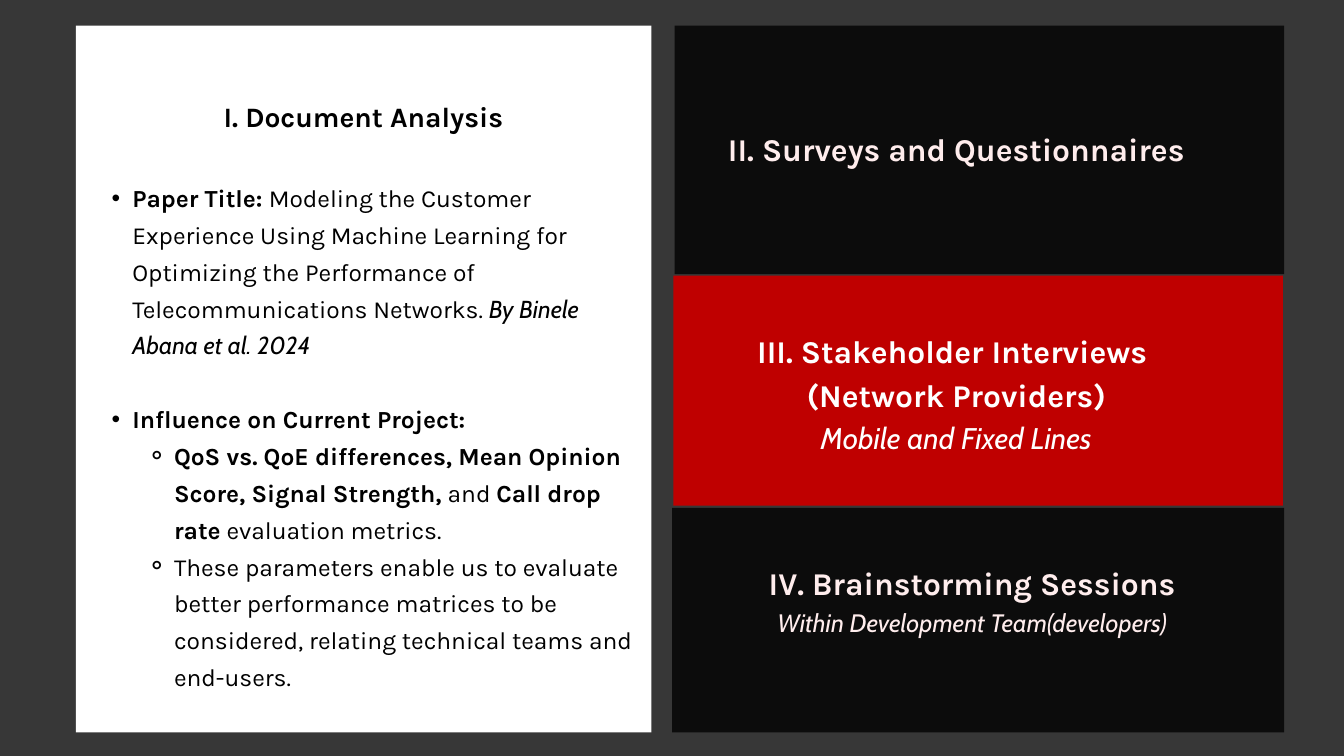
from lxml import etree
from pptx import Presentation
from pptx import util as u
from pptx.dml import color
from pptx.enum import shapes, text
from pptx.oxml import ns

Pt = u.Pt
COLORS = {
    "background": "373737",
    "white": "FFFFFF",
    "dark": "0C0C0C",
    "red": "BF0000",
    "black": "000000",
    "blush": "FFEDED",
}
HEADING = {"name": "Karla", "bold": True}
BOLD = {"name": "Karla", "size": Pt(26.3), "bold": True}
REGULAR = {"name": "Karla", "size": Pt(26.3), "bold": False}
ITALIC = {"name": "Cabin", "italic": True}


def rgb(name):
    return color.RGBColor.from_string(COLORS[name])


def add_text(slide, left, top, width, height, paragraphs):
    """Each paragraph is (paragraph format, bullet or None, color, runs)."""
    box = slide.shapes.add_textbox(Pt(left), Pt(top), Pt(width), Pt(height))
    frame = box.text_frame
    frame.word_wrap = True
    for side in ("left", "top", "right", "bottom"):
        setattr(frame, f"margin_{side}", 0)
    for index, (layout, bullet, ink, runs) in enumerate(paragraphs):
        paragraph = frame.add_paragraph() if index else frame.paragraphs[0]
        if bullet:
            character, margin, indent = bullet
            properties = paragraph._p.get_or_add_pPr()
            properties.set("marL", str(Pt(margin)))
            properties.set("indent", str(Pt(indent)))
            etree.SubElement(properties, ns.qn("a:buFont"), typeface="Arial")
            etree.SubElement(properties, ns.qn("a:buChar"), char=character)
        for key, value in layout.items():
            setattr(paragraph, key, value)
        for words, style in runs:
            run = paragraph.add_run()
            run.text = words
            run.font.color.rgb = rgb(ink)
            for key, value in style.items():
                setattr(run.font, key, value)


presentation = Presentation()
presentation.slide_width, presentation.slide_height = Pt(1440), Pt(810)
slide = presentation.slides.add_slide(presentation.slide_layouts[6])
slide.background.fill.solid()
slide.background.fill.fore_color.rgb = rgb("background")

# Panels
panels = [
    ("red", 721.4, 295.4, 653.2, 246.4),
    ("dark", 720, 544.3, 655.9, 240.5),
    ("dark", 722.9, 27.4, 653, 266.4),
    ("white", 81.4, 27.4, 616.6, 757.4),
]
for fill, *place in panels:
    panel = slide.shapes.add_shape(
        shapes.MSO_SHAPE.RECTANGLE, *[Pt(value) for value in place])
    panel.shadow.inherit = False
    panel.fill.solid()
    panel.fill.fore_color.rgb = rgb(fill)
    panel.line.fill.background()

# Document analysis
centre = {"alignment": text.PP_ALIGN.CENTER}
body = {"line_spacing": Pt(39.5), "alignment": text.PP_ALIGN.LEFT}
dot = ("•", 44.6, -22.3)
ring = ("⚬", 89.3, -29.5)
add_text(slide, 97.2, 97.9, 584.6, 635, [
    ({**centre, "line_spacing": Pt(45.1)}, None, "black",
     [("I. Document Analysis", {**HEADING, "size": Pt(30.1)})]),
    ({**body, "level": 1, "space_before": Pt(45.1)}, dot, "black", [
        ("Paper Title: ", BOLD),
        ("Modeling the Customer Experience Using Machine Learning for "
         "Optimizing the Performance of Telecommunications Networks. ", REGULAR),
        ("By Binele Abana et al. 2024", {**ITALIC, "size": Pt(26.3)}),
    ]),
    ({**body, "level": 1, "space_before": Pt(39.5)}, dot, "black",
     [("Influence on Current Project:", BOLD)]),
    ({**body, "level": 2}, ring, "black", [
        ("QoS vs. QoE differences, Mean Opinion Score, Signal Strength, ", BOLD),
        ("and ", REGULAR),
        ("Call drop rate", BOLD),
        (" evaluation metrics.", REGULAR),
    ]),
    ({**body, "level": 2}, ring, "black", [
        ("These parameters enable us to evaluate better performance matrices "
         "to be considered, relating technical teams and end-users.", REGULAR),
    ]),
])

# Headings and subtitles of the right-hand panels
right_texts = [
    (348.5, 502.6, 91.4, "white", HEADING, 34,
     ["III. Stakeholder Interviews ", "(Network Providers)"]),
    (443.5, 502.6, 41.8, "white", ITALIC, 32, ["Mobile and Fixed Lines"]),
    (132.5, 502.6, 45.4, "blush", HEADING, 34, ["II. Surveys and Questionnaires"]),
    (596.9, 536.4, 44.6, "blush", HEADING, 34, ["IV. Brainstorming Sessions"]),
    (645.8, 536.4, 34.6, "blush", ITALIC, 27, ["Within Development Team(developers)"]),
]
for top, width, height, ink, style, size, lines in right_texts:
    layout = {**centre, "line_spacing": Pt(size * 1.4)}
    add_text(slide, 773.3, top, width, height, [
        (layout, None, ink, [(line, {**style, "size": Pt(size)})]) for line in lines])

presentation.save("out.pptx")
